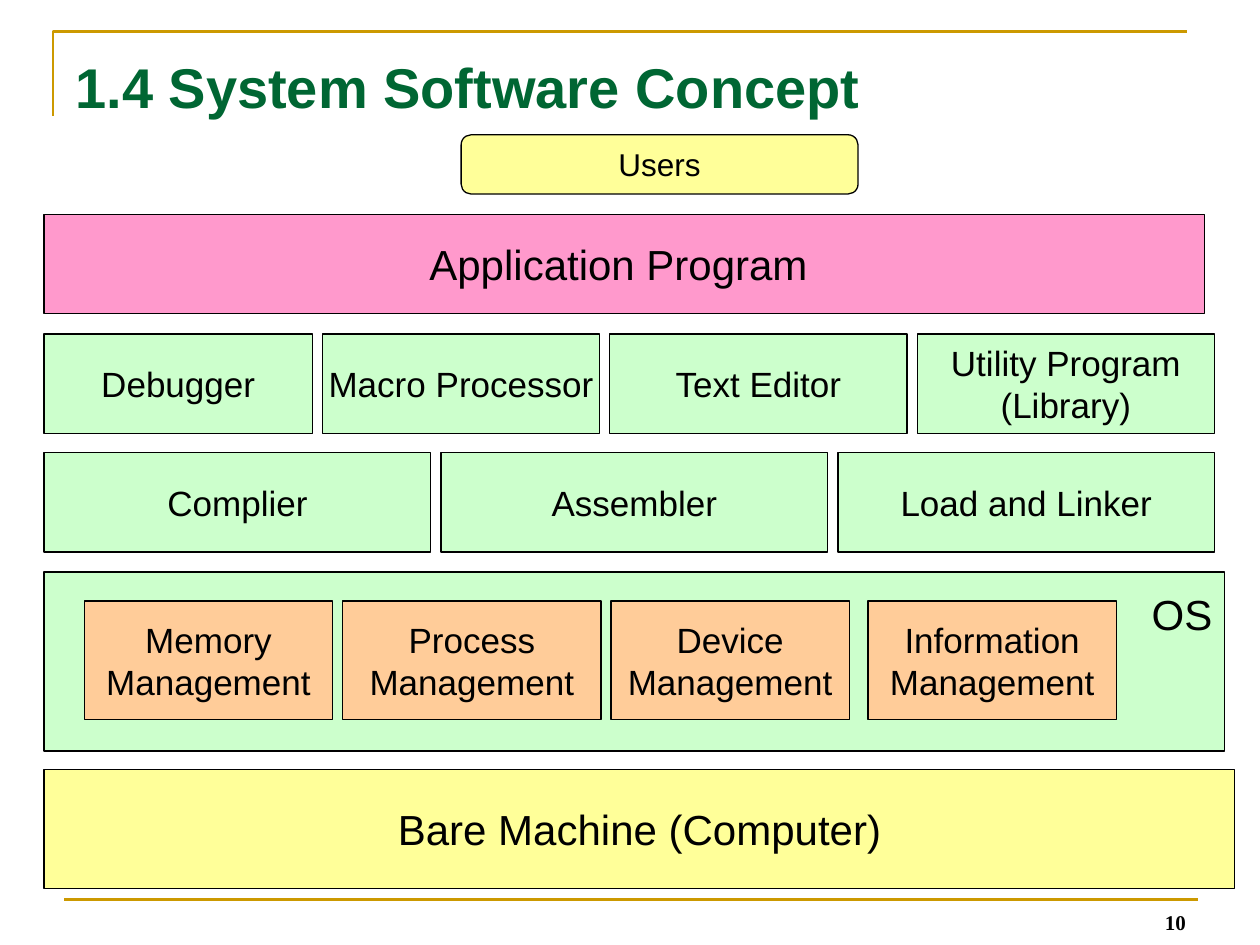
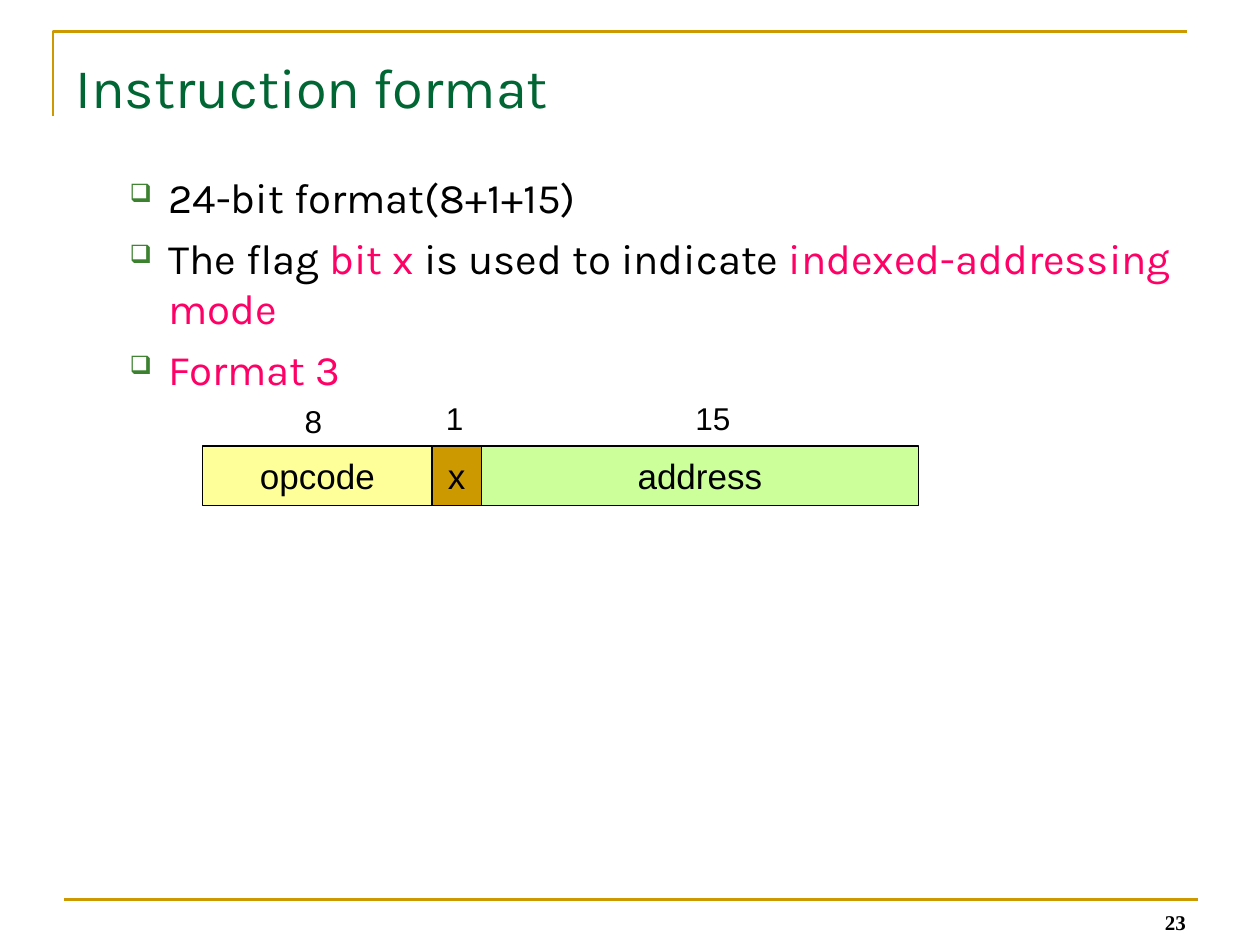
from lxml.etree import SubElement
from pptx import Presentation
from pptx.dml.color import RGBColor
from pptx.enum.shapes import MSO_CONNECTOR, MSO_SHAPE
from pptx.enum.text import MSO_ANCHOR, PP_ALIGN
from pptx.oxml.ns import qn
from pptx.util import Inches, Pt

BLACK, GREEN, GOLD, PINK = "000000", "006633", "CC9900", "FF0066"
YELLOW, MINT, ROSE, PEACH, LIME = "FFFF99", "CCFFCC", "FF99CC", "FFCC99", "CCFF99"


def color(value):
    return RGBColor.from_string(value)


def apply(target, values):
    for name, value in values.items():
        setattr(target, name, value)


class Deck:
    gap = 0.08
    frame = {
        "margin_left": Inches(0.1), "margin_right": Inches(0.1),
        "margin_top": Inches(0.05), "margin_bottom": Inches(0.05),
        "word_wrap": True, "vertical_anchor": MSO_ANCHOR.MIDDLE,
    }
    font = {"name": "Arial", "size": Pt(20), "bold": False}

    def __init__(self):
        self.presentation = Presentation()
        apply(self.presentation, {"slide_width": Inches(10), "slide_height": Inches(7.5)})
        self.slide = None

    def start(self, title, number, **title_font):
        self.slide = self.presentation.slides.add_slide(self.presentation.slide_layouts[6])
        self.corner()
        self.rule(0.51, 9.51, 7.14)
        self.text(number, 7.18, 7.11, 2.33, 0.36, align=PP_ALIGN.RIGHT,
                  frame={"vertical_anchor": MSO_ANCHOR.BOTTOM},
                  name="Times New Roman", size=Pt(12), bold=True)
        self.text(title, 0.5, 0.3, 9, 0.77, ink=GREEN, size=Pt(32), **title_font)

    def stroke(self, line, ink, points):
        line.color.rgb = color(ink)
        line.width = Pt(points)

    def corner(self):
        builder = self.slide.shapes.build_freeform(Inches(0.42), Inches(0.92))
        builder.add_line_segments(
            [(Inches(0.42), Inches(0.25)), (Inches(9.42), Inches(0.25))], close=False)
        outline = builder.convert_to_shape()
        outline.shadow.inherit = False
        outline.fill.background()
        self.stroke(outline.line, GOLD, 1.5)

    def rule(self, left, right, y):
        rule = self.slide.shapes.add_connector(
            MSO_CONNECTOR.STRAIGHT, Inches(left), Inches(y), Inches(right), Inches(y))
        self.stroke(rule.line, GOLD, 1.5)
        SubElement(rule._element.spPr, qn("a:effectLst"))

    def add_words(self, paragraph, text, ink=BLACK, **font):
        run = paragraph.add_run()
        run.text = text
        apply(run.font, {**self.font, **font})
        run.font.color.rgb = color(ink)

    def fill_frame(self, shape, text, align, frame, ink=BLACK, **font):
        apply(shape.text_frame, {**self.frame, **(frame or {})})
        paragraph = shape.text_frame.paragraphs[0]
        paragraph.alignment = align
        self.add_words(paragraph, text, ink, **font)

    def text(self, text, left, top, width, height, align=PP_ALIGN.LEFT, frame=None, **font):
        area = self.slide.shapes.add_textbox(*map(Inches, (left, top, width, height)))
        self.fill_frame(area, text, align, frame, **font)

    def block(self, text, left, top, width, height, fill, kind=MSO_SHAPE.RECTANGLE,
              align=PP_ALIGN.CENTER, frame=None, **font):
        block = self.slide.shapes.add_shape(kind, *map(Inches, (left, top, width, height)))
        block.shadow.inherit = False
        block.fill.solid()
        block.fill.fore_color.rgb = color(fill)
        self.stroke(block.line, BLACK, 0.75)
        self.fill_frame(block, text, align, frame, **font)

    def row(self, left, top, height, parts, fill):
        for label, width in parts:
            frame = {"word_wrap": label != "Macro Processor"}
            self.block(label, left, top, width, height, fill, frame=frame)
            left += width + self.gap

    def bullets(self, points, left, top, width, height):
        area = self.slide.shapes.add_textbox(*map(Inches, (left, top, width, height)))
        body = area.text_frame
        apply(body, {**self.frame, "vertical_anchor": MSO_ANCHOR.TOP})
        for index, pieces in enumerate(points):
            paragraph = body.add_paragraph() if index else body.paragraphs[0]
            properties = paragraph._p.get_or_add_pPr()
            properties.set("marL", str(Inches(0.81)))
            properties.set("indent", str(Inches(-0.31)))
            bullet_color = SubElement(properties, qn("a:buClr"))
            SubElement(bullet_color, qn("a:srgbClr"), val="3B812F")
            SubElement(properties, qn("a:buSzPct"), val="60000")
            SubElement(properties, qn("a:buChar"), char="❑")
            paragraph.space_before = Pt(6 if index else 0)
            for text, ink in pieces:
                self.add_words(paragraph, text, ink, name="Karla", size=Pt(24))


def software_concept(deck):
    deck.start("1.4 System Software Concept", "10", bold=True)
    large = {"size": Pt(24)}
    deck.block("Users", 3.66, 1.07, 3.15, 0.47, YELLOW,
               kind=MSO_SHAPE.ROUNDED_RECTANGLE, size=Pt(18))
    deck.block("Application Program ", 0.35, 1.7, 9.21, 0.79, ROSE,
               frame={"word_wrap": False}, **large)
    deck.row(0.35, 2.65, 0.79, [("Debugger", 2.13), ("Macro Processor", 2.2),
                                ("Text Editor", 2.36), ("Utility Program (Library)", 2.36)], MINT)
    deck.row(0.35, 3.59, 0.79, [("Complier", 3.07), ("Assembler", 3.07),
                                ("Load and Linker", 2.99)], MINT)
    deck.block("OS", 0.35, 4.54, 9.37, 1.42, MINT, align=PP_ALIGN.RIGHT,
               frame={"vertical_anchor": MSO_ANCHOR.TOP, "margin_top": Inches(0.13)}, **large)
    deck.row(0.67, 4.77, 0.94, [("Memory Management", 1.97), ("Process Management", 2.05),
                                ("Device Management", 1.89)], PEACH)
    deck.block("Information Management", 6.89, 4.77, 1.97, 0.94, PEACH)
    deck.block("Bare Machine (Computer)", 0.35, 6.11, 9.45, 0.94, YELLOW, **large)


def instruction_format(deck):
    deck.start("Instruction format", "23", name="Karla")
    deck.bullets([
        [("24-bit format(8+1+15)", BLACK)],
        [("The flag ", BLACK), ("bit x", PINK), (" is used to indicate ", BLACK),
         ("indexed-addressing mode", PINK)],
        [("Format 3", PINK)],
    ], 0.43, 1.31, 9, 4.57)
    left = 1.61
    for field, width, fill, bits, bits_left, bits_top, bits_width in [
        ("opcode", 1.82, YELLOW, "8", 2.32, 3.14, 0.34),
        ("x", 0.39, GOLD, "1", 3.44, 3.12, 0.34),
        ("address", 3.47, LIME, "15", 5.42, 3.12, 0.48),
    ]:
        deck.block(field, left, 3.54, width, 0.47, fill, frame={"word_wrap": False})
        deck.text(bits, bits_left, bits_top, bits_width, 0.4,
                  frame={"word_wrap": False}, size=Pt(18))
        left += width


def main():
    deck = Deck()
    software_concept(deck)
    instruction_format(deck)
    deck.presentation.save("out.pptx")


if __name__ == "__main__":
    main()
